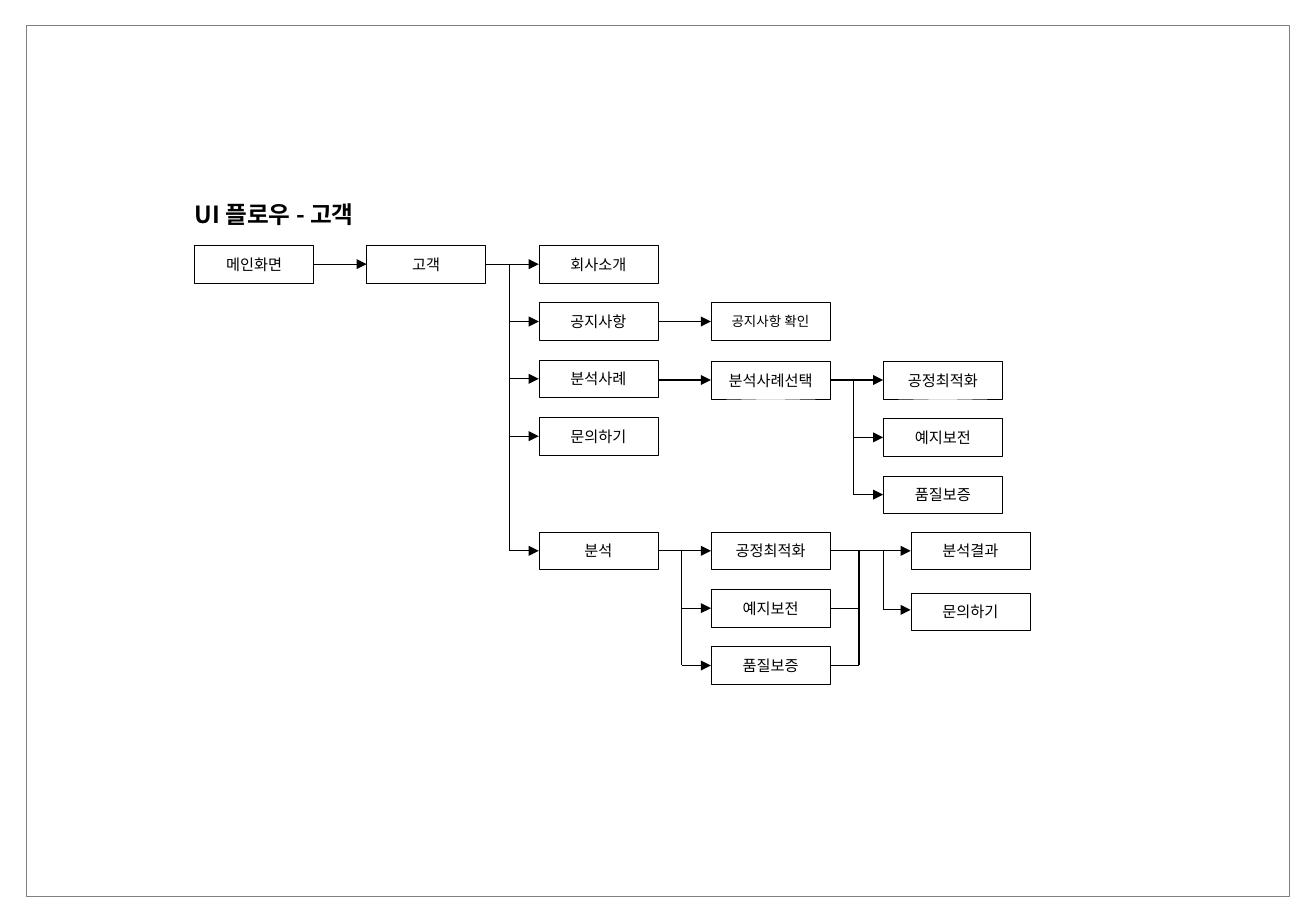
import pptx
import pptx.util
import pptx.dml.color
import pptx.enum.shapes
import pptx.enum.text
import lxml.etree

NS = "http://schemas.openxmlformats.org/drawingml/2006/main"


def tint(code):
    return pptx.dml.color.RGBColor.from_string(code)


class Flow:
    """Draw a flow chart on a grid of columns and rows."""

    face = "Noto Sans CJK KR"
    ink = "000000"
    left, top = 1.6, 2.02
    step, pitch = 1.417, 0.472
    wide, high = 0.98, 0.31
    edge = wide / step

    def __init__(self, deck):
        self.size = deck.slide_width, deck.slide_height
        self.slide = deck.slides.add_slide(deck.slide_layouts[5])
        self.shapes = self.slide.shapes

    def spot(self, col, row):
        inch = pptx.util.Inches
        return inch(self.left + col * self.step), inch(self.top + row * self.pitch)

    def style(self, shape, text, size, align, bold=False):
        frame = shape.text_frame
        frame.text = text
        frame.word_wrap = True
        frame.vertical_anchor = pptx.enum.text.MSO_ANCHOR.MIDDLE
        para = frame.paragraphs[0]
        para.alignment = align
        font = para.font
        font.name = self.face
        font.size = pptx.util.Pt(size)
        font.bold = bold
        font.color.rgb = tint(self.ink)
        props = shape.element.find(f".//{{{NS}}}defRPr")
        latin = props.find(f"{{{NS}}}latin")
        east = lxml.etree.Element(f"{{{NS}}}ea", typeface=self.face)
        latin.addnext(east)
        return frame

    def rect(self, x, y, wide, high, line):
        kind = pptx.enum.shapes.MSO_SHAPE.RECTANGLE
        shape = self.shapes.add_shape(kind, x, y, wide, high)
        shape.shadow.inherit = False
        shape.fill.background()
        shape.line.color.rgb = tint(line)
        shape.line.width = pptx.util.Pt(0.25)
        return shape

    def border(self, x, y, wide, high):
        across, down = self.size
        self.rect(int(x * across), int(y * down), int(wide * across), int(high * down), "808080")

    def title(self, text, col, row):
        shape = self.shapes.title
        shape.left, shape.top = self.spot(col, row)
        shape.width, shape.height = pptx.util.Inches(2.13), pptx.util.Inches(0.34)
        frame = self.style(shape, text, 14, pptx.enum.text.PP_ALIGN.LEFT, True)
        frame.auto_size = pptx.enum.text.MSO_AUTO_SIZE.NONE
        frame.margin_left = 0

    def box(self, text, col, row, size=9):
        inch = pptx.util.Inches
        shape = self.rect(*self.spot(col, row), inch(self.wide), inch(self.high), self.ink)
        shape.fill.solid()
        shape.fill.fore_color.rgb = tint("FFFFFF")
        self.style(shape, text, size, pptx.enum.text.PP_ALIGN.CENTER)

    def link(self, start, end, arrow=False):
        half = self.high / self.pitch / 2
        ends = [self.spot(col, row + half) for col, row in (start, end)]
        kind = pptx.enum.shapes.MSO_CONNECTOR.STRAIGHT
        line = self.shapes.add_connector(kind, *ends[0], *ends[1])
        line.line.color.rgb = tint(self.ink)
        line.line.width = pptx.util.Pt(0.75)
        props = line.element.spPr
        if arrow:
            stroke = props.find(f"{{{NS}}}ln")
            lxml.etree.SubElement(stroke, f"{{{NS}}}tailEnd", type="triangle")
        lxml.etree.SubElement(props, f"{{{NS}}}effectLst")

    def step_to(self, col, row, goal):
        self.link((col + self.edge, row), (goal, row), True)

    def fork(self, trunk, goal, first, rows):
        self.link((trunk, first), (trunk, rows[-1]))
        for row in rows:
            self.link((trunk, row), (goal, row), True)

    def merge(self, col, trunk, first, rows):
        self.link((trunk, first), (trunk, rows[-1]))
        for row in rows:
            self.link((col + self.edge, row), (trunk, row))


BOXES = [
    ("메인화면", 0, 0), ("고객", 1, 0),
    ("회사소개", 2, 0), ("공지사항", 2, 1), ("분석사례", 2, 2),
    ("문의하기", 2, 3), ("분석", 2, 5),
    ("공지사항 확인", 3, 1, 8), ("분석사례선택", 3, 2.02),
    ("분석결과", 4.16, 5), ("문의하기", 4.16, 6.06),
]
STAGES = ["공정최적화", "예지보전", "품질보증"]
STEPS = [(0, 0, 1), (1, 0, 2), (2, 1, 3), (2, 2.02, 3),
         (3, 2.02, 4), (2, 5, 3), (3, 5, 4.16)]
FORKS = [(1.83, 2, 0, [1, 2, 3, 5]), (2.83, 3, 5, [6, 7]),
         (3.83, 4, 2.02, [3.02, 4.02]), (4, 4.16, 5, [6.03])]


def main():
    deck = pptx.Presentation()
    deck.slide_width = pptx.util.Inches(10.83)
    deck.slide_height = pptx.util.Inches(7.5)
    flow = Flow(deck)
    flow.border(0.02, 0.028, 0.96, 0.956)
    flow.title("UI 플로우 - 고객", 0, -0.91)
    for item in BOXES:
        flow.box(*item)
    for col, top in ((3, 5), (4, 2.02)):
        for row, name in enumerate(STAGES):
            flow.box(name, col, top + row)
    for item in STEPS:
        flow.step_to(*item)
    for item in FORKS:
        flow.fork(*item)
    flow.merge(3, 3.86, 5, [6, 7])
    deck.save("out.pptx")


if __name__ == "__main__":
    main()
